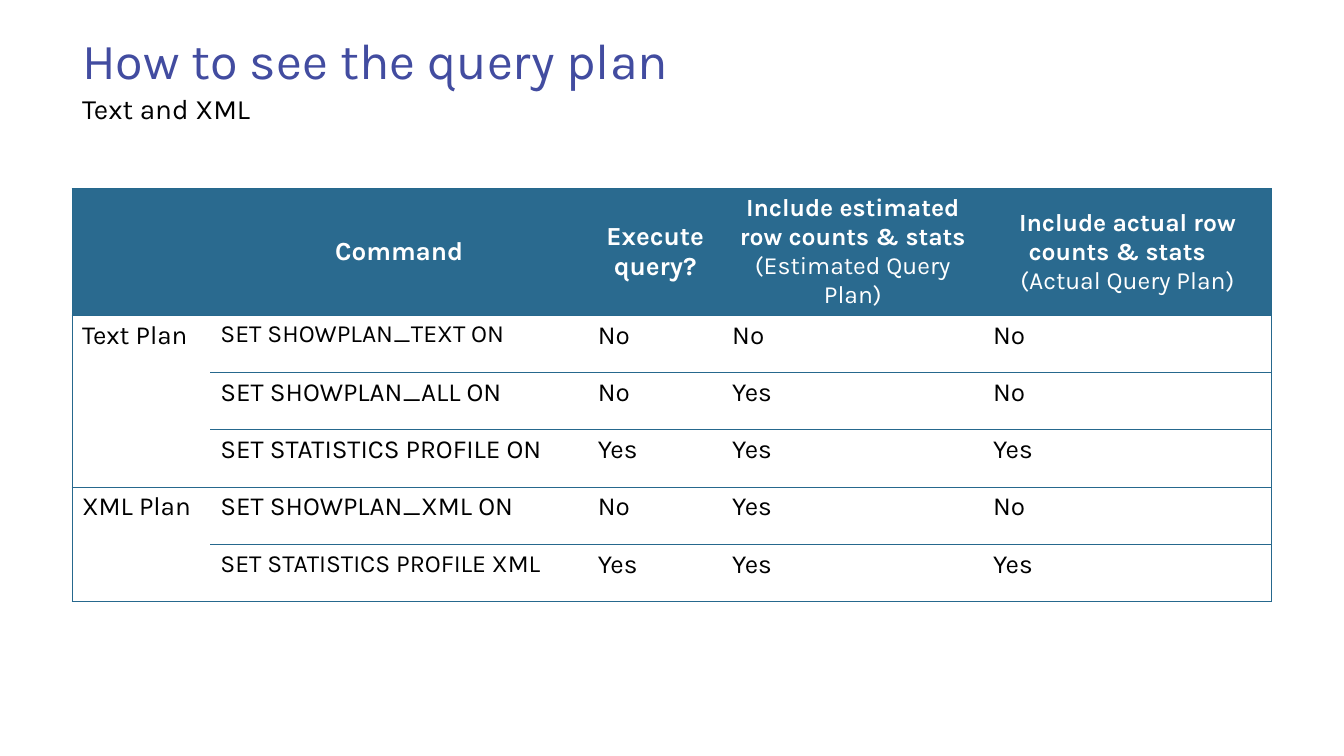
from lxml import etree
from pptx import Presentation
from pptx.dml.color import RGBColor
from pptx.enum.text import MSO_ANCHOR, PP_ALIGN
from pptx.oxml.ns import qn
from pptx.util import Pt

LEFT, CENTER = PP_ALIGN.LEFT, PP_ALIGN.CENTER
TOP, MIDDLE = MSO_ANCHOR.TOP, MSO_ANCHOR.MIDDLE
SCALE = 9144  # EMU per px, 100 px to the inch


def px(num):
    return num * SCALE


def color(code):
    return RGBColor.from_string(code)


class Deck:
    face = "Karla"
    ink, blue, white = "000000", "424CA0", "FFFFFF"
    teal, band = "26688D", "2A6A8F"
    edge = 0.75

    def __init__(self, wide, high):
        self.file = Presentation()
        self.file.slide_width, self.file.slide_height = px(wide), px(high)
        self.slide = self.file.slides.add_slide(self.file.slide_layouts[1])

    def style(self, run, size, code, bold=False):
        font = run.font
        font.name, font.size, font.bold = self.face, Pt(size), bold
        font.color.rgb = color(code)

    def paint(self, item, code):
        item.fill.solid()
        item.fill.fore_color.rgb = color(code)

    def holder(self, index, text, box, size, code):
        shape = self.slide.placeholders[index]
        shape.left, shape.top, shape.width, shape.height = map(px, box)
        frame = shape.text_frame
        frame.text = text
        frame.word_wrap, frame.vertical_anchor = True, TOP
        frame.margin_left = frame.margin_right = px(10)
        frame.margin_top = frame.margin_bottom = px(5)
        para = frame.paragraphs[0]
        props = para._p.get_or_add_pPr()
        props.set("marL", "0")
        props.set("indent", "0")
        etree.SubElement(props, qn("a:buNone"))
        para.alignment, para.space_before = LEFT, Pt(0)
        self.style(para.runs[0], size, code)
        return shape

    def title(self, text, box, size, space):
        shape = self.holder(0, text, box, size, self.blue)
        self.paint(shape, self.white)
        shape.text_frame.paragraphs[0].line_spacing = Pt(space)

    def border(self, cell, sides):
        props = cell._tc.get_or_add_tcPr()
        for place, side in enumerate("LRTB"):
            line = etree.Element(qn("a:ln" + side), w=str(Pt(self.edge)))
            if side in sides:
                fill = etree.SubElement(line, qn("a:solidFill"))
                etree.SubElement(fill, qn("a:srgbClr"), val=self.teal)
            else:
                etree.SubElement(line, qn("a:noFill"))
            props.insert(place, line)

    def cell(self, cell, text, size, head):
        """Text before a bar is bold, text after it is plain."""
        self.paint(cell, self.band if head else self.white)
        cell.vertical_anchor = MIDDLE if head else TOP
        cell.margin_left = cell.margin_right = px(10)
        cell.margin_top = cell.margin_bottom = px(5)
        frame = cell.text_frame
        frame.text = text
        for para in frame.paragraphs:
            para.alignment = CENTER if head else LEFT
            bold, _, plain = para.text.partition("|")
            para.text = bold
            if plain:
                para.add_run().text = plain
            for run in para.runs:
                strong = head and run.text != plain
                self.style(run, size, self.white if head else self.ink, strong)

    def table(self, data, left, top, cols, rows, spans, small):
        frame = self.slide.shapes.add_table(
            len(rows), len(cols), px(left), px(top), px(sum(cols)), px(sum(rows)))
        grid = frame.table
        grid.horz_banding = False
        for col, wide in zip(grid.columns, cols):
            col.width = px(wide)
        for row, high in zip(grid.rows, rows):
            row.height = px(high)
        for r, line in enumerate(data):
            for c, text in enumerate(line):
                size = 18 if (r, c) in small else 19
                self.cell(grid.cell(r, c), text, size, r == 0)
                sides = "TB" + "L" * (c == 0) + "R" * (c == len(cols) - 1)
                self.border(grid.cell(r, c), sides)
        for first, last in spans:
            grid.cell(first, 0).merge(grid.cell(last, 0))


HEAD = ["", "Command", "Execute query?",
        "Include estimated row counts & stats| (Estimated Query Plan)",
        "Include actual row counts & stats\t\n|(Actual Query Plan)"]
PLANS = [
    ["Text Plan", "SET SHOWPLAN_TEXT ON", "No", "No", "No"],
    ["", "SET SHOWPLAN_ALL ON", "No", "Yes", "No"],
    ["", "SET STATISTICS PROFILE ON", "Yes", "Yes", "Yes"],
    ["XML Plan", "SET SHOWPLAN_XML ON", "No", "Yes", "No"],
    ["", "SET STATISTICS PROFILE XML", "Yes", "Yes", "Yes"],
]


def main():
    deck = Deck(1360, 765)

    # Title and subtitle
    deck.title("How to see the query plan", (73, 36, 1214, 51), 36.7, 35.7)
    deck.holder(1, "Text and XML", (73, 88, 1214, 51), 20.4, deck.ink)

    # Table of commands, one merged label per kind of plan
    deck.table([HEAD] + PLANS, 73, 191,
               cols=[140, 382, 136, 264, 292],
               rows=[128] + [58] * len(PLANS),
               spans=[(1, 3), (4, 5)],
               small={(0, 3), (0, 4), (1, 1), (5, 1)})

    deck.file.save("out.pptx")


if __name__ == "__main__":
    main()
